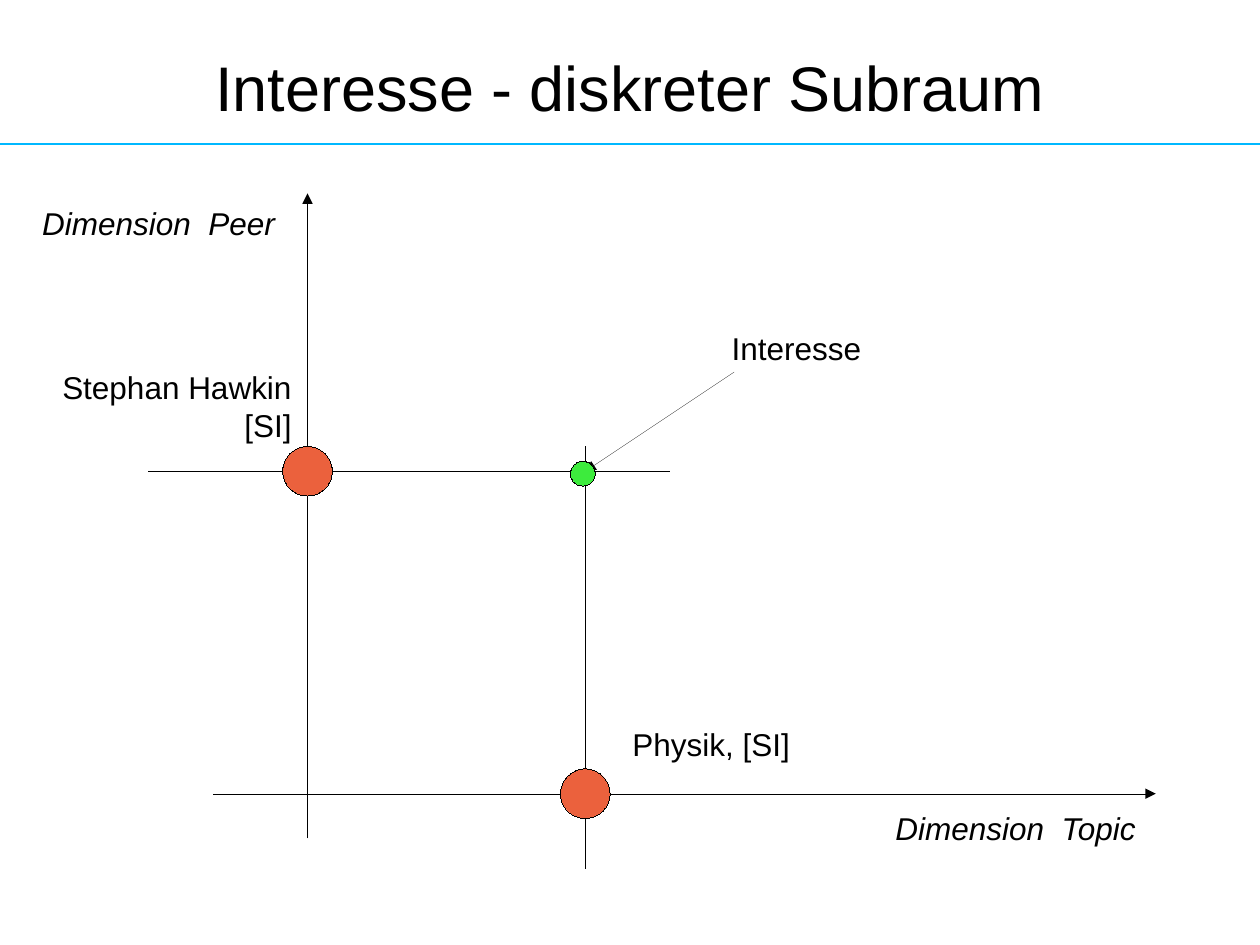
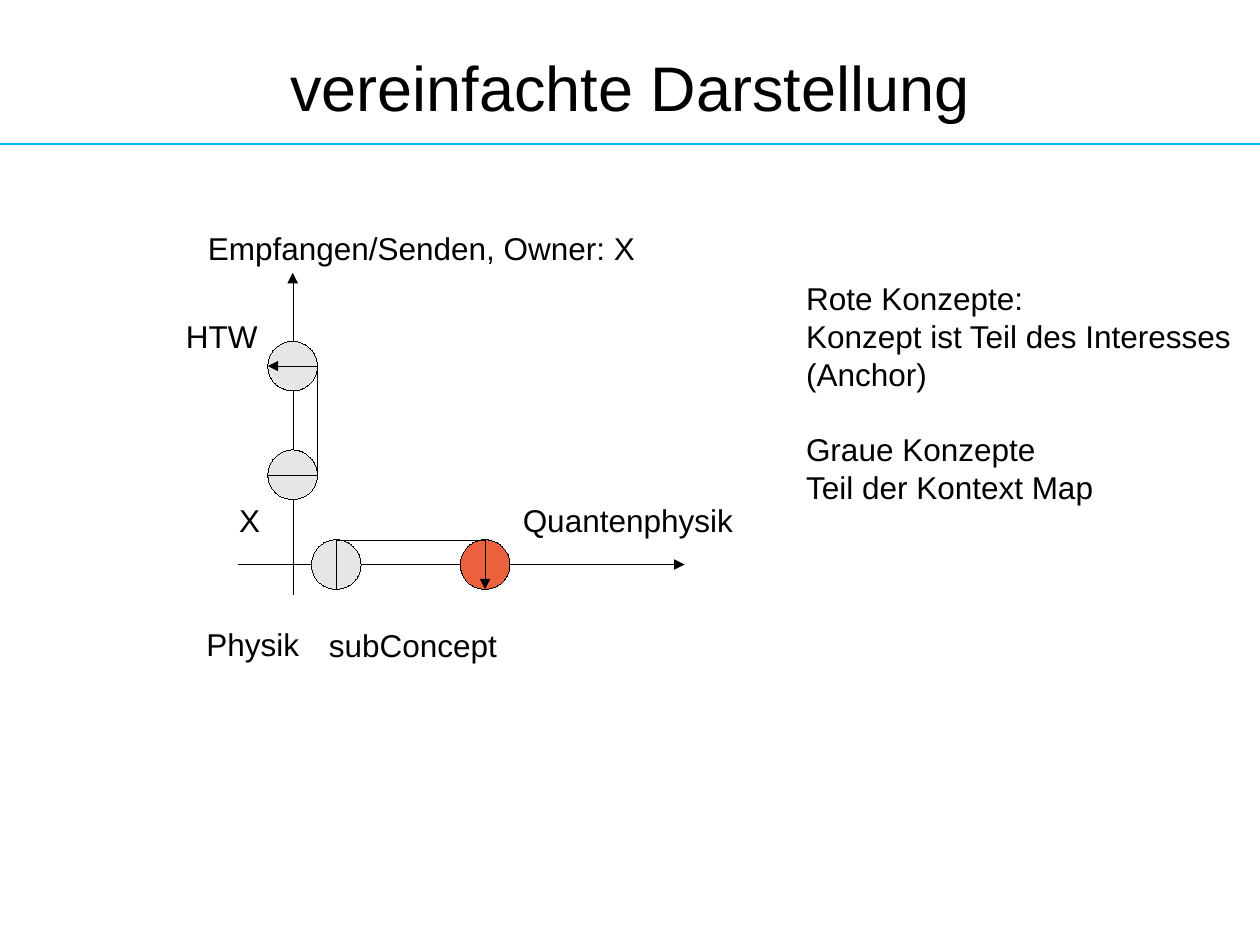
from collections import namedtuple

from pptx import Presentation
from pptx.dml.color import RGBColor
from pptx.enum.shapes import MSO_CONNECTOR, MSO_SHAPE
from pptx.enum.text import MSO_ANCHOR, PP_ALIGN
from pptx.oxml.ns import qn
from pptx.util import Cm, Pt
from lxml import etree

STRAIGHT = MSO_CONNECTOR.STRAIGHT
OVAL = MSO_SHAPE.OVAL
LEFT, CENTER, RIGHT = PP_ALIGN.LEFT, PP_ALIGN.CENTER, PP_ALIGN.RIGHT
MIDDLE = MSO_ANCHOR.MIDDLE

FONT = "Arial"
BLACK, RULE_BLUE = "000000", "00B8FF"
RED, GREEN, GREY = "EB613D", "3DEB3D", "E6E6E6"
SLIDE_WIDTH, SLIDE_HEIGHT = 25.4, 19.05
RULE_TOP = 2.9
HAIRLINE = 0.01
TEXT_SIZE, LINE_PITCH = 18, 21.6
LINE_HEIGHT = 1.02
CONCEPT, INTEREST = 1.0, 0.5

Box = namedtuple("Box", "left top width height")


def color(hex_code):
    """Turn a hex string into a colour."""
    return RGBColor.from_string(hex_code)


def inside(box, x, y):
    """Give the slide position of a point measured from a box's corner."""
    return Cm(box.left + x), Cm(box.top + y)


def style_line(shape, width=HAIRLINE, hex_code=BLACK, arrow=False):
    """Set a plain outline, with an arrowhead at its end if wanted."""
    shape.line.color.rgb = color(hex_code)
    shape.line.width = Pt(width)
    if arrow:
        outline = shape.element.spPr.find(qn("a:ln"))
        etree.SubElement(outline, qn("a:tailEnd"), type="triangle")


def add_line(slide, box, start, end, arrow=False, **style):
    """Draw a straight line between two points of a box."""
    line = slide.shapes.add_connector(
        STRAIGHT, *inside(box, *start), *inside(box, *end))
    style_line(line, arrow=arrow, **style)
    etree.SubElement(line.element.spPr, qn("a:effectLst"))
    return line


def add_bracket(slide, box, points):
    """Draw an angular arrow through the points of a box."""
    start, *others = [inside(box, *point) for point in points]
    builder = slide.shapes.build_freeform(*start)
    builder.add_line_segments(others, close=False)
    bracket = builder.convert_to_shape()
    bracket.shadow.inherit = False
    bracket.fill.background()
    style_line(bracket, arrow=True)


def add_circle(slide, box, center, fill, diameter=CONCEPT):
    """Draw a filled circle around a point of a box."""
    x, y = center
    corner = inside(box, x - diameter / 2, y - diameter / 2)
    circle = slide.shapes.add_shape(OVAL, *corner, Cm(diameter), Cm(diameter))
    circle.shadow.inherit = False
    circle.fill.solid()
    circle.fill.fore_color.rgb = color(fill)
    style_line(circle)


def add_span(para, text, size=TEXT_SIZE, italic=False):
    """Add one formatted run to a paragraph."""
    span = para.add_run()
    span.text = text
    span.font.name = FONT
    span.font.size = Pt(size)
    span.font.italic = italic
    span.font.color.rgb = color(BLACK)


def add_label(slide, box, corner, width, *lines, wrap=False, align=LEFT,
              italic=False, height=LINE_HEIGHT):
    """Write lines of text in a box and give back their paragraphs."""
    label = slide.shapes.add_textbox(*inside(box, *corner), Cm(width), Cm(height))
    frame = label.text_frame
    frame.word_wrap = wrap
    for number, text in enumerate(lines):
        para = frame.add_paragraph() if number else frame.paragraphs[0]
        para.alignment = align
        para.line_spacing = Pt(LINE_PITCH)
        add_span(para, text, italic=italic)
    return frame.paragraphs


def add_titled_slide(deck, layout, text):
    """Add a slide with a formatted title."""
    slide = deck.slides.add_slide(layout)
    frame = slide.shapes.title.text_frame
    frame.vertical_anchor = MIDDLE
    frame.margin_left = frame.margin_right = 0
    frame.margin_top = frame.margin_bottom = 0
    para = frame.paragraphs[0]
    para.alignment = CENTER
    add_span(para, text, size=36)
    return slide


def place_layout_title(layout):
    """Place the title that all slides share."""
    title = layout.placeholders[0]
    title.left, title.top = Cm(1.27), Cm(0.97)
    title.width, title.height = Cm(22.86), Cm(1.52)


def add_layout_rule(layout, slide):
    """Put the blue rule below the title on the layout."""
    page = Box(0, 0, SLIDE_WIDTH, SLIDE_HEIGHT)
    rule = add_line(slide, page, (0, RULE_TOP), (page.width, RULE_TOP),
                    width=0.75, hex_code=RULE_BLUE)
    layout.shapes.element.append(rule.element)


def draw_interest_plane(slide, box):
    """Show an interest as the crossing of a peer and a topic."""
    peer_axis, topic_axis = 5.6, 12.1
    topic, peer = 11.2, 5.6
    add_line(slide, box, (topic, box.height), (topic, peer - 0.5))
    add_line(slide, box, (2.4, peer), (12.9, peer))
    add_line(slide, box, (peer_axis, 13), (peer_axis, 0), arrow=True)
    add_line(slide, box, (3.7, topic_axis), (box.width, topic_axis), arrow=True)
    for center in ((peer_axis, peer), (topic, topic_axis)):
        add_circle(slide, box, center, RED)
    add_line(slide, box, (14.2, 3.6), (topic, peer), arrow=True)
    add_circle(slide, box, (topic - 0.05, peer + 0.05), GREEN, INTEREST)

    add_label(slide, box, (0.4, 3.4), 5.13, "Stephan Hawkin", "[SI]",
              align=RIGHT, height=1.78)
    add_label(slide, box, (11.9, 10.6), 3.68, "Physik, [SI]")
    add_label(slide, box, (13.9, 2.6), 5, "Interesse", wrap=True)
    for corner, text in (((17.2, 12.28), "Dimension  Topic"),
                         ((0, 0.08), "Dimension  Peer")):
        add_label(slide, box, corner, 5.7, text, wrap=True, italic=True)


def draw_concept_axes(slide, box):
    """Show linked concepts on a pair of short axes."""
    peer_axis, topic_axis = 2.4, 6.88
    owner, school = 5.07, 2.88
    physics, quantum = 3.28, 6.28
    radius = CONCEPT / 2
    add_line(slide, box, (peer_axis, 7.5), (peer_axis, 1), arrow=True)
    add_line(slide, box, (1.3, topic_axis), (10.3, topic_axis), arrow=True)
    for center, fill in (((quantum, topic_axis), RED),
                         ((physics, topic_axis), GREY),
                         ((peer_axis, owner), GREY),
                         ((peer_axis, school), GREY)):
        add_circle(slide, box, center, fill)

    above, below = topic_axis - radius, topic_axis + radius
    add_bracket(slide, box, [(physics, below), (physics, above),
                             (quantum, above), (quantum, below)])
    before, after = peer_axis - radius, peer_axis + radius
    add_bracket(slide, box, [(before, owner), (after, owner),
                             (after, school), (before, school)])

    for corner, width, text in (((0.41, 7.97), 2.5, "Physik"),
                                ((6.79, 5.48), 4.75, "Quantenphysik"),
                                ((2.88, 8), 3.89, "subConcept"),
                                ((1.07, 5.48), 0.91, "X"),
                                ((0.44, 0), 9.12, "Empfangen/Senden, Owner: X")):
        add_label(slide, box, corner, width, text)
    add_label(slide, box, (0, 1.77), 2, "HTW", wrap=True)


def write_legend(slide, box):
    """Explain the colours of the concepts."""
    paras = add_label(slide, box, (0, 0), box.width,
                      "Rote Konzepte:", "Konzept ist Teil des Interesses",
                      "(Anchor)", "Graue Konzepte", "Teil der Kontext Map",
                      height=box.height)
    paras[3].space_before = Pt(LINE_PITCH)


def main():
    """Build and save the deck."""
    deck = Presentation()
    deck.slide_width, deck.slide_height = Cm(SLIDE_WIDTH), Cm(SLIDE_HEIGHT)
    layout = deck.slide_layouts.get_by_name("Title Only")
    place_layout_title(layout)

    plane = add_titled_slide(deck, layout, "Interesse - diskreter Subraum")
    add_layout_rule(layout, plane)
    draw_interest_plane(plane, Box(0.6, 3.9, 22.7, 13.6))

    simplified = add_titled_slide(deck, layout, "vereinfachte Darstellung")
    draw_concept_axes(simplified, Box(3.5, 4.5, 11.54, 9))
    write_legend(simplified, Box(16, 5.5, 9.14, 4.83))

    deck.save("out.pptx")


if __name__ == "__main__":
    main()
